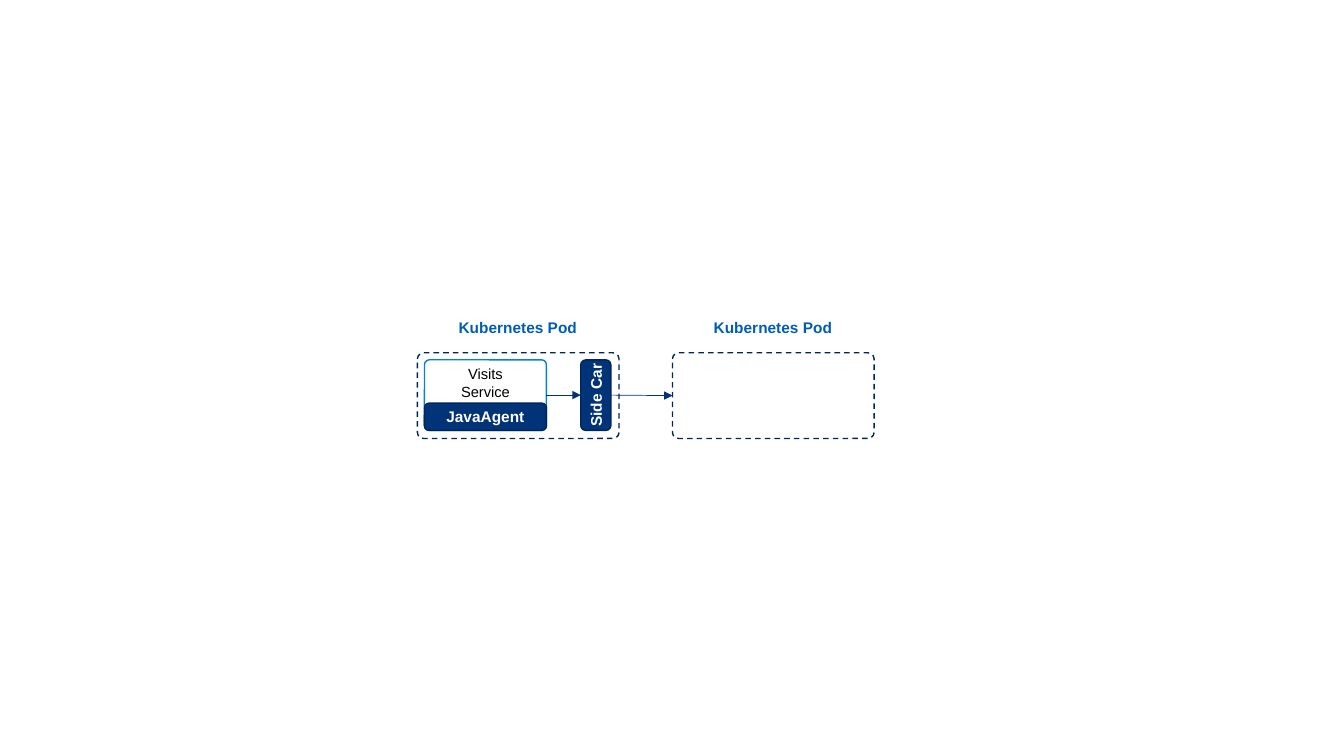
from pptx import Presentation
from pptx.dml.color import RGBColor
from pptx.enum.dml import MSO_LINE_DASH_STYLE as Dash
from pptx.enum.shapes import MSO_CONNECTOR as Link, MSO_SHAPE as Shape
from pptx.enum.text import MSO_ANCHOR as Anchor, MSO_AUTO_SIZE as AutoSize, PP_ALIGN as Align
from pptx.oxml.ns import qn
from pptx.util import Inches, Pt
from lxml import etree

NAVY, DARK, BLUE, SKY = "003378", "002659", "015CB3", "0184CB"
WHITE, BLACK = "FFFFFF", "000000"


def color(value):
    return RGBColor.from_string(value)


def write(box, lines, align, **font):
    for index, line in enumerate(lines):
        frame = box.text_frame
        para = frame.paragraphs[0] if index == 0 else frame.add_paragraph()
        para.alignment = align
        span = para.add_run()
        span.text = line
        span.font.color.rgb = color(font["rgb"])
        for name, value in {"name": "Arial", "size": Pt(font["size"]), "bold": font["bold"]}.items():
            setattr(span.font, name, value)


deck = Presentation()
deck.slide_width, deck.slide_height = Inches(13.33), Inches(7.5)
page = deck.slides.add_slide(deck.slide_layouts[6])

# Pods sit side by side; the service parts are inset by one gap
pod_left, pod_top, pod_width, pod_height, pod_step = 4.14, 3.5, 2, 0.85, 2.53
gap = 0.07
inner_left, inner_top, inner_height = pod_left + gap, pod_top + gap, 0.7
service_width, agent_height, car_width = 1.21, 0.27, 0.3
car_left = pod_left + pod_width - gap - 0.01 - car_width
middle = inner_top + inner_height / 2

# Name: left, top, width, height, corner, fill, line, rotation
parts = {
    "pod": (pod_left, pod_top, pod_width, pod_height, 0.071, None, DARK, 0),
    "service": (inner_left, inner_top, service_width, inner_height, 0.069, WHITE, SKY, 0),
    "agent": (inner_left, inner_top + inner_height - agent_height,
              service_width, agent_height, 0.167, NAVY, DARK, 0),
    "side car": (car_left + (car_width - inner_height) / 2, middle - car_width / 2,
                 inner_height, car_width, 0.167, NAVY, DARK, 270),
    "next pod": (pod_left + pod_step, pod_top, pod_width, pod_height, 0.071, None, DARK, 0),
}
boxes = {}
for name, (left, top, width, height, corner, fill, line, rotation) in parts.items():
    box = page.shapes.add_shape(Shape.ROUNDED_RECTANGLE, *map(Inches, (left, top, width, height)))
    box.adjustments[0] = corner
    box.rotation = rotation
    box.shadow.inherit = False
    box.line.color.rgb = color(line)
    box.line.width = Pt(1)
    if fill:
        box.fill.solid()
        box.fill.fore_color.rgb = color(fill)
    else:
        box.fill.background()
        box.line.dash_style = Dash.DASH
    boxes[name] = box

# Box texts
service_frame = boxes["service"].text_frame
service_frame.vertical_anchor = Anchor.TOP
service_frame.margin_top = Inches(0.04)
car_frame = boxes["side car"].text_frame
car_frame.margin_left = car_frame.margin_right = 0
write(boxes["service"], ["Visits", "Service"], Align.CENTER, size=10.5, rgb=BLACK, bold=False)
for name, text in {"agent": "JavaAgent", "side car": "Side Car"}.items():
    boxes[name].text_frame.vertical_anchor = Anchor.MIDDLE
    write(boxes[name], [text], Align.CENTER, size=11, rgb=WHITE, bold=True)

# Pod headings
for column in range(2):
    heading = page.shapes.add_textbox(
        Inches(4.45 + column * pod_step), Inches(3.11), Inches(1.39), Inches(0.29))
    heading.text_frame.word_wrap = False
    heading.text_frame.auto_size = AutoSize.SHAPE_TO_FIT_TEXT
    write(heading, ["Kubernetes Pod"], Align.LEFT, size=11, rgb=BLUE, bold=True)

# Arrows: service to side car, side car to next pod
arrows = []
for start, end in [(inner_left + service_width, car_left),
                   (car_left + car_width, pod_left + pod_step)]:
    arrow = page.shapes.add_connector(
        Link.STRAIGHT, Inches(start), Inches(middle), Inches(end), Inches(middle))
    arrow.line.color.rgb = color(NAVY)
    arrow.line.width = Pt(0.5)
    tail = etree.SubElement(arrow.line._get_or_add_ln(), qn("a:tailEnd"))
    tail.set("type", "triangle")
    etree.SubElement(arrow._element.spPr, qn("a:effectLst"))
    arrows.append(arrow)
arrows[0].begin_connect(boxes["service"], 3)
arrows[1].end_connect(boxes["next pod"], 1)

deck.save("out.pptx")
